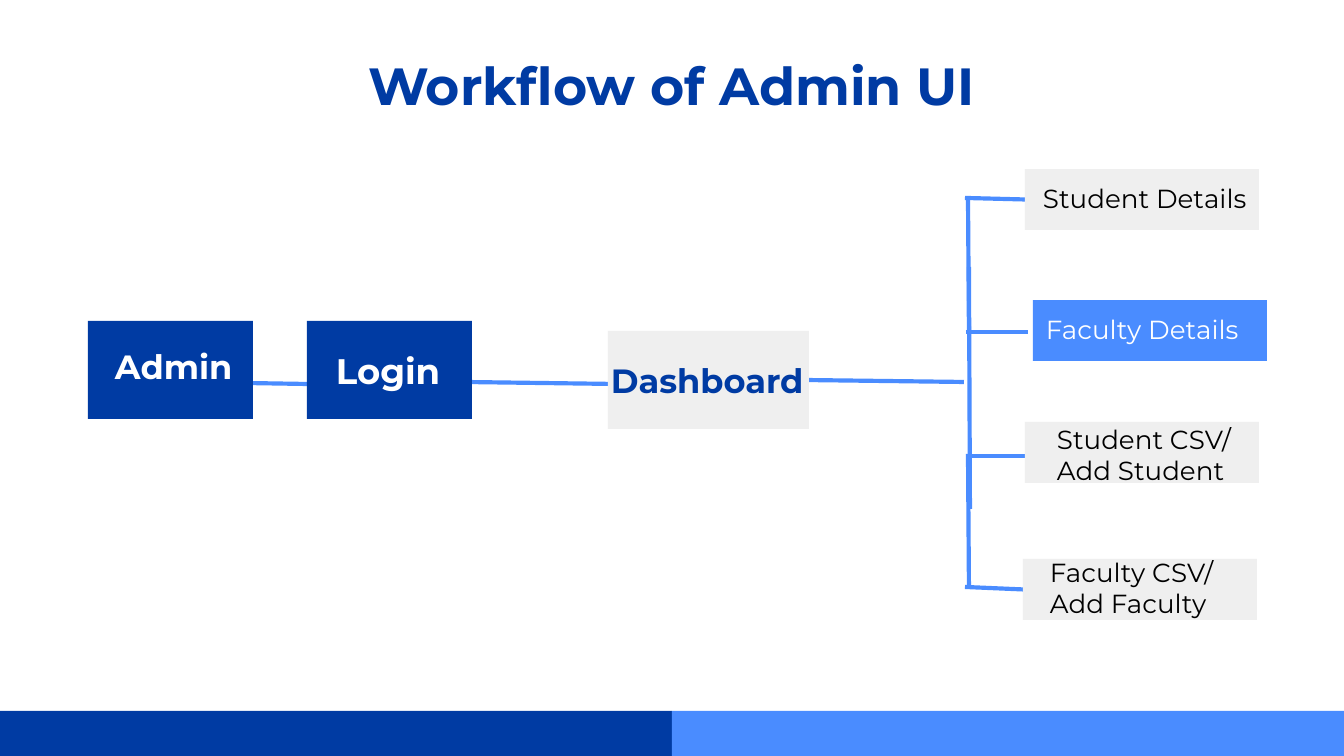
from lxml import etree
from pptx import Presentation
from pptx import util as u
from pptx.dml.color import RGBColor
from pptx.enum import shapes, text
from pptx.oxml.ns import qn

WIDTH, HEIGHT = 1344, 756
SCALE = u.Inches(10) / WIDTH
FONT = "Montserrat"
NAVY, BLUE, GRAY, WHITE, BLACK = "003BA3", "4A8CFF", "EFEFEF", "FFFFFF", "000000"
STEP_SIZE = (165, 98)
DETAIL_SIZE = (234, 61)
INSET = 13


def px(length):
    return u.Emu(round(length * SCALE))


def color(value):
    return RGBColor.from_string(value)


def add_box(page, left, top, width, height, fill):
    box = page.shapes.add_shape(
        shapes.MSO_SHAPE.RECTANGLE, px(left), px(top), px(width), px(height))
    box.shadow.inherit = False
    box.fill.solid()
    box.fill.fore_color.rgb = color(fill)
    box.line.fill.background()
    return box


def set_text(box, wording, size, ink, bold=False, align=text.PP_ALIGN.LEFT):
    frame = box.text_frame
    frame.word_wrap = True
    frame.vertical_anchor = text.MSO_ANCHOR.TOP
    frame.margin_left = frame.margin_right = px(INSET)
    frame.margin_top = frame.margin_bottom = px(INSET)
    frame.text = wording
    para = frame.paragraphs[0]
    para.alignment = align
    font = para.runs[0].font
    font.name, font.size, font.bold = FONT, u.Pt(size), bold
    font.color.rgb = color(ink)


def add_label(page, left, top, width, height, wording, size, ink, **style):
    box = page.shapes.add_textbox(px(left), px(top), px(width), px(height))
    set_text(box, wording, size, ink, **style)


def add_line(page, x1, y1, x2, y2):
    line = page.shapes.add_connector(
        shapes.MSO_CONNECTOR.STRAIGHT, px(x1), px(y1), px(x2), px(y2))
    line.line.color.rgb = color(BLUE)
    line.line.width = u.Pt(2.25)
    etree.SubElement(line._element.spPr, qn("a:effectLst"))
    return line


def add_footer(page):
    half = WIDTH // 2
    for left, fill in ((0, NAVY), (half, BLUE)):
        add_box(page, left, 711, half, HEIGHT - 711, fill)


def add_steps(page):
    for ends in ((245, 383, 307, 384), (464, 382, 616, 384), (802, 380, 964, 382)):
        add_line(page, *ends)
    add_box(page, 88, 321, *STEP_SIZE, NAVY)
    add_label(page, 102, 333, 200, 98, "Admin", 18, WHITE, bold=True)
    add_box(page, 307, 321, *STEP_SIZE, NAVY)
    add_label(page, 323, 336, 165, 70, "Login", 19, WHITE, bold=True)
    add_box(page, 608, 331, 201, 98, GRAY)
    add_label(page, 598, 347, 234, 98, "Dashboard", 18, NAVY, bold=True)


def add_details(page):
    student_line, _, _, faculty_line = [
        add_line(page, left, y, left + 62, y)
        for left, y in ((965, 198), (966, 332), (966, 456), (965, 587))]

    student_box, _, faculty_box = [
        add_box(page, left, top, *DETAIL_SIZE, GRAY)
        for left, top in ((1025, 169), (1025, 422), (1023, 559))]
    student_line.end_connect(student_box, 1)
    faculty_line.end_connect(faculty_box, 1)

    for left, top, wording in (
            (1030, 169, "Student Details"),
            (1044, 410, "Student CSV/ Add Student"),
            (1037, 543, "Faculty CSV/ Add Faculty")):
        add_label(page, left, top, *DETAIL_SIZE, wording, 14, BLACK)
    highlight = add_box(page, 1033, 300, *DETAIL_SIZE, BLUE)
    set_text(highlight, "Faculty Details", 14, WHITE)

    for ends in ((968, 198, 969, 332), (969, 267, 970, 509), (968, 454, 969, 587)):
        add_line(page, *ends)


def main():
    deck = Presentation()
    deck.slide_width, deck.slide_height = px(WIDTH), px(HEIGHT)
    page = deck.slides.add_slide(deck.slide_layouts[6])
    add_footer(page)
    add_label(page, 105, 40, 1133, 137, "Workflow of Admin UI", 28, NAVY,
              bold=True, align=text.PP_ALIGN.CENTER)
    add_steps(page)
    add_details(page)
    deck.save("out.pptx")


if __name__ == "__main__":
    main()
